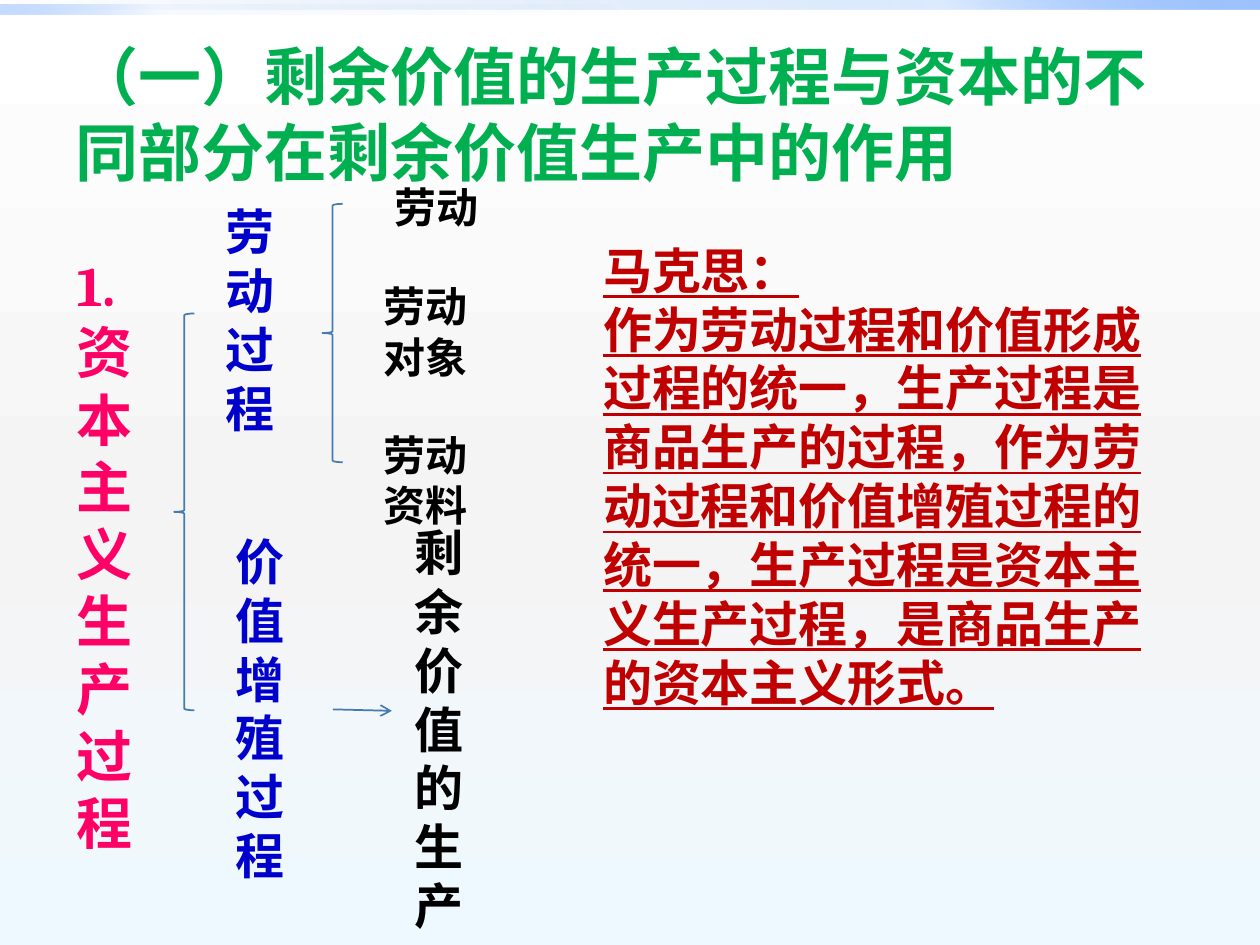
"""Build the slide on the capitalist production process."""
import pptx
import pptx.dml.color
import pptx.enum.shapes
import pptx.enum.text
import pptx.oxml
import pptx.oxml.ns
import pptx.util

Cm = pptx.util.Cm
COLORS = {"title": "00B050", "topic": "FF0066", "process": "0000CC",
          "factor": "000000", "quote": "C00000", "line": "477AB1"}
TITLE = "（一）剩余价值的生产过程与资本的不同部分在剩余价值生产中的作用"
TITLE_BOX = (1.27, 0.76, 22.86, 4.37)
LABELS = [
    (["1.", *"资本主义生产过程"], (1.3, 4.93, 3, 12.57), 32, "topic"),
    (["劳动过程"], (4.29, 3.94, 2.01, 5.05), 28, "process"),
    (["价值增殖过程"], (4.5, 10.59, 2.21, 7.44), 28, "process"),
    (["劳动"], (7.7, 3.53, 3.99, 1.27), 24, "factor"),
    (["劳动对象"], (7.49, 5.54, 2.79, 2.31), 24, "factor"),
    (["劳动资料"], (7.49, 8.53, 2.59, 2.31), 24, "factor"),
    (["剩余价值的生产"], (8.1, 10.41, 1.8, 8.64), 28, "factor"),
    (["马克思：",
      "作为劳动过程和价值形成过程的统一，生产过程是商品生产的过程，"
      "作为劳动过程和价值增殖过程的统一，生产过程是资本主义生产过程，"
      "是商品生产的资本主义形式。"], (11.91, 4.72, 11.99, 9.83), 28, "quote"),
]
BRACES = [(3.51, 6.32, 0.41, 8), (6.5, 4.11, 0.41, 5.21)]
ARROW = (6.71, 14.3, 7.9, 14.33)
BACKDROP = ([(0, "FFFFFF", 100), (55, "F4F4F4", 100), (100, "EEF9FF", 100)], 90)
BARS = [
    ((0, 0, 25.4, 0.2), [(0, "0058B7", 0), (75, "4F95FF", 20), (100, "9EC2FF", 100)], 315),
    ((0, 0.1, 12.7, 0.2), [(0, "0058B7", 0), (75, "4F95FF", 5), (100, "9EC2FF", 60)], 135),
]


def cm(lengths):
    return [Cm(length) for length in lengths]


def rgb(name):
    return pptx.dml.color.RGBColor.from_string(COLORS[name])


def paint_gradient(owner, element, stops, angle):
    owner.fill.solid()
    owner.fill.fore_color.rgb = pptx.dml.color.RGBColor.from_string(stops[-1][1])
    solid = element.xpath(".//a:solidFill")[0]
    marks = "".join(
        f'<a:gs pos="{place * 1000}"><a:srgbClr val="{color}">'
        f'<a:alpha val="{opacity * 1000}"/></a:srgbClr></a:gs>'
        for place, color, opacity in stops)
    gradient = pptx.oxml.parse_xml(
        f'<a:gradFill {pptx.oxml.ns.nsdecls("a")} rotWithShape="1"><a:gsLst>{marks}</a:gsLst>'
        f'<a:lin ang="{angle * 60000}" scaled="0"/></a:gradFill>')
    solid.getparent().replace(solid, gradient)


def style_text(frame, font_name, size, color):
    for paragraph in frame.paragraphs:
        paragraph.alignment = pptx.enum.text.PP_ALIGN.LEFT
        for run in paragraph.runs:
            run.font.name = font_name
            run.font.size = pptx.util.Pt(size)
            run.font.bold = True
            run.font.color.rgb = rgb(color)
            if color == "quote":
                run.font.underline = True


def style_line(line):
    line.color.rgb = rgb("line")
    line.width = pptx.util.Pt(1)


deck = pptx.Presentation()
deck.slide_width, deck.slide_height = cm((25.4, 19.05))
slide = deck.slides.add_slide(deck.slide_layouts[5])
shapes = slide.shapes
kinds = pptx.enum.shapes.MSO_SHAPE
paint_gradient(slide.background, slide.element, *BACKDROP)

for box, stops, angle in BARS:
    bar = shapes.add_shape(kinds.RECTANGLE, *cm(box))
    bar.shadow.inherit = False
    bar.line.fill.background()
    paint_gradient(bar, bar.element.spPr, stops, angle)

title = shapes.title
title.left, title.top, title.width, title.height = cm(TITLE_BOX)
title.text_frame.text = TITLE
title.text_frame.word_wrap = True
title.text_frame.margin_top = 0
title.text_frame.auto_size = pptx.enum.text.MSO_AUTO_SIZE.NONE
title.text_frame.vertical_anchor = pptx.enum.text.MSO_ANCHOR.TOP
style_text(title.text_frame, "Lato", 36, "title")

for box in BRACES:
    brace = shapes.add_shape(kinds.LEFT_BRACE, *cm(box))
    brace.shadow.inherit = False
    brace.fill.background()
    style_line(brace.line)

for lines, box, size, color in LABELS:
    frame = shapes.add_textbox(*cm(box)).text_frame
    frame.word_wrap = True
    frame.auto_size = pptx.enum.text.MSO_AUTO_SIZE.SHAPE_TO_FIT_TEXT
    frame.text = "\n".join(lines)
    style_text(frame, "Cambria", size, color)

arrow = shapes.add_connector(pptx.enum.shapes.MSO_CONNECTOR.STRAIGHT, *cm(ARROW))
style_line(arrow.line)
namespace = pptx.oxml.ns.nsdecls("a")
arrow.line._get_or_add_ln().append(pptx.oxml.parse_xml(f'<a:tailEnd {namespace} type="arrow"/>'))
arrow.element.spPr.append(pptx.oxml.parse_xml(f"<a:effectLst {namespace}/>"))

deck.save("out.pptx")
